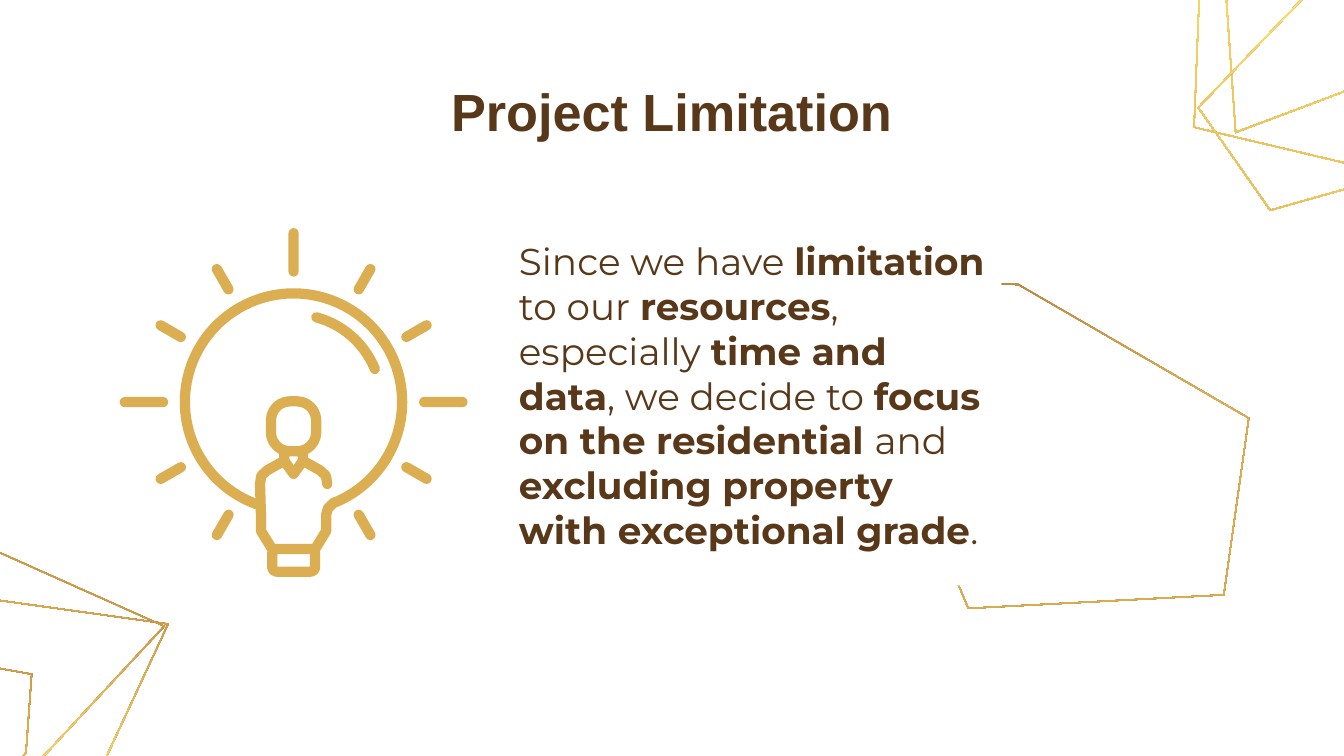
from copy import deepcopy
from math import cos, radians, sin

from lxml.etree import SubElement
from pptx import Presentation
from pptx.dml.color import RGBColor
from pptx.enum.shapes import MSO_SHAPE
from pptx.enum.text import MSO_ANCHOR, MSO_AUTO_SIZE, PP_ALIGN
from pptx.oxml.ns import qn
from pptx.util import Pt

COLORS = {"brown": "583819", "gold": "DCAE52", "bronze": "AF7132",
          "yellow": "FFDD6B", "white": "FFFFFF"}
BAND = 0.6          # thickness of the decorative outlines
ICON_SIZE = 187     # side of the square in which the bulb icon is designed
STROKE = 5.5

# Three base polygons: clockwise offsets from the first corner, before turning
QUAD = [(0, 0), (-85.9, -153.7), (122.4, -218.4), (122.8, -126.2)]
PENTAGON = [(0, 0), (-57.9, -35), (7.2, -214), (121, -216.2), (70.9, -58.8)]
HEXAGON = [(0, 0), (-33.6, -85.1), (65, -179), (134, -197.6), (150, -155.9),
           (128.8, -23.8)]

BODY = [("Since we have ", False), ("limitation", True), (" to our ", False),
        ("resources", True), (", especially ", False), ("time and data", True),
        (", we decide to ", False), ("focus on the residential ", True),
        ("and ", False), ("excluding property with exceptional grade", True),
        (".", False)]


def rgb(name):
    return RGBColor.from_string(COLORS[name])


def polar(radius, angle):
    """Offset at an angle in degrees, clockwise from three o'clock."""
    return radius * complex(cos(radians(angle)), sin(radians(angle)))


def add_outline(slide, contours, close=True):
    """Build one freeform from contours of complex points."""
    scaled = [[(Pt(z.real), Pt(z.imag)) for z in c] for c in contours]
    builder = slide.shapes.build_freeform(*scaled[0][0])
    for i, corners in enumerate(scaled):
        if i:
            builder.move_to(*corners[0])
        builder.add_line_segments(corners[1:], close=close)
    sp = builder.convert_to_shape()
    sp.shadow.inherit = False
    return sp


def inset(corners):
    """Move each side of a clockwise polygon inwards by the band width."""
    result = []
    for i, z in enumerate(corners):
        before, after = z - corners[i - 1], corners[(i + 1) % len(corners)] - z
        a, b = (d / abs(d) * 1j for d in (before, after))
        result.append(z + BAND * (a + b) / (1 + (a * b.conjugate()).real))
    return result


def fill_gradient(sp, colors):
    """Fill from top to bottom with three evenly spaced colours."""
    sp.fill.gradient()
    sp.fill.gradient_angle = 270
    stops = sp._element.spPr.find(".//" + qn("a:gsLst"))
    stops.insert(1, deepcopy(stops[0]))
    for i, (stop, color) in enumerate(zip(sp.fill.gradient_stops, colors)):
        stop.position = i / 2
        stop.color.rgb = rgb(color)


def add_polygon(slide, base, first_corner, turn, scale=1.0, mirror=False,
                middle="yellow"):
    """Place a base polygon as a thin gradient band."""
    flip = -1 if mirror else 1
    corners = [scale * complex(flip * x, y) for x, y in base][::flip]
    xs, ys = [z.real for z in corners], [z.imag for z in corners]
    center = complex(min(xs) + max(xs), min(ys) + max(ys)) / 2
    # The shape turns about its centre, so find where that centre must lie.
    shift = complex(*first_corner) + center * polar(1, turn) - center
    corners = [z + shift for z in corners]
    sp = add_outline(slide, [corners, inset(corners)])
    sp.rotation = turn
    sp.line.fill.background()
    fill_gradient(sp, ("bronze", middle, "gold"))


def add_corner_cluster(slide, scale, quad_turn, turn, anchors):
    """Overlap the three base polygons in one corner of the slide."""
    turns = (quad_turn, turn, turn)
    for base, angle, anchor in zip((QUAD, HEXAGON, PENTAGON), turns, anchors):
        add_polygon(slide, base, anchor, angle, scale)


def style_stroke(sp, scale):
    """Draw a shape as a gold line with round ends and joins."""
    sp.shadow.inherit = False
    sp.fill.background()
    sp.line.color.rgb = rgb("gold")
    sp.line.width = Pt(STROKE * scale)
    ln = sp._element.spPr.find(qn("a:ln"))
    ln.set("cap", "rnd")
    SubElement(ln, qn("a:round"))


def add_bulb_icon(slide, left, top, size):
    """Draw the shining bulb with a person; offsets count from its centre."""
    scale = size / ICON_SIZE
    center = complex(left + size / 2, top + size / 2)

    def preset(kind, middle, width, height):
        z = center + scale * middle
        w, h = scale * width, scale * height
        return slide.shapes.add_shape(kind, Pt(z.real - w / 2), Pt(z.imag - h / 2),
                                      Pt(w), Pt(h))

    def arc(radius, start, end):
        sp = preset(MSO_SHAPE.ARC, 0, 2 * radius, 2 * radius)
        for i, angle in enumerate((start, end)):
            sp.adjustments[i] = angle * 0.6  # 60000ths of a degree, over 100000
        style_stroke(sp, scale)

    def rounded_frame(middle, width, height, rounding):
        sp = preset(MSO_SHAPE.ROUNDED_RECTANGLE, middle, width, height)
        sp.adjustments[0] = rounding
        style_stroke(sp, scale)

    def stroke(points, side=1):
        line = [center + scale * complex(side * x, y) for x, y in points]
        style_stroke(add_outline(slide, [line], close=False), scale)

    def ray(angle):
        length, radius = (26, 80.2) if angle % 90 == 0 else (18, 76)
        sp = preset(MSO_SHAPE.ROUNDED_RECTANGLE, polar(radius, angle),
                    length, STROKE)
        sp.adjustments[0] = 0.5
        sp.rotation = angle
        sp.fill.solid()
        sp.fill.fore_color.rgb = rgb("gold")
        sp.line.fill.background()
        sp.shadow.inherit = False

    for angle in range(0, 360, 30):
        if angle != 90:  # the person stands in place of the lowest ray
            ray(angle)

    arc(58.2, 110, 69)   # glass, open at the bottom
    arc(47, 285, 338)    # glare

    neck_collar_shoulder = [(5, 28), (5, 31.5), (14, 36.5), (17.3, 39.5),
                            (18, 44)]
    waist = [(17.5, 60), (17.5, 69), (12, 78)]
    rounded_frame(0 + 13j, 24.2, 26.8, 0.42)       # head
    stroke([(-5, 31.5), (0, 38.5), (5, 31.5)])     # collar
    stroke(neck_collar_shoulder)
    stroke([(20.5, 55), (18.5, 56.8)] + waist)     # glass runs into the waist
    stroke(neck_collar_shoulder + waist, side=-1)
    rounded_frame(0 + 84.8j, 23, 12.2, 0.2)        # base


def fill_placeholder(ph, box, runs, font, size, align):
    """Place a placeholder above the drawings and set its formatted runs."""
    ph.left, ph.top, ph.width, ph.height = (Pt(v) for v in box)
    ph._element.getparent().append(ph._element)
    tf = ph.text_frame
    tf.word_wrap = True
    tf.auto_size = MSO_AUTO_SIZE.NONE
    tf.vertical_anchor = MSO_ANCHOR.MIDDLE
    tf.margin_left = tf.margin_right = tf.margin_top = tf.margin_bottom = Pt(7.2)
    p = tf.paragraphs[0]
    p.alignment = align
    p.space_before = Pt(0)
    p.line_spacing = 1.0
    for text, bold in runs:
        r = p.add_run()
        r.text = text
        r.font.name, r.font.size, r.font.bold = font, Pt(size), bold
        r.font.color.rgb = rgb("brown")


def add_body(ph, box):
    fill_placeholder(ph, box, BODY, "Montserrat", 20, PP_ALIGN.LEFT)
    pPr = ph.text_frame.paragraphs[0]._p.get_or_add_pPr()
    pPr.set("marL", str(Pt(10.8)))
    pPr.set("indent", "0")
    ph.fill.solid()
    ph.fill.fore_color.rgb = rgb("white")


def main():
    prs = Presentation()
    prs.slide_width, prs.slide_height = Pt(720), Pt(405)
    slide = prs.slides.add_slide(prs.slide_layouts[0])

    add_corner_cluster(slide, 1, 25.2, 23.8,
                       [(661.7, 71.3), (639.4, 68.4), (680.4, 113)])
    add_corner_cluster(slide, 0.95, 25.2, 25.2,
                       [(-103, 472.3), (-177.8, 476.6), (-103, 472.3)])
    add_polygon(slide, HEXAGON, (655.9, 319), 346.5, 1.05, mirror=True,
                middle="gold")

    add_body(slide.placeholders[1], (260, 109.8, 276.5, 203.8))
    fill_placeholder(slide.shapes.title, (157, 42.5, 405.4, 33.8),
                     [("Project Limitation", True)], "Arial", 28, PP_ALIGN.CENTER)
    add_bulb_icon(slide, 63.8, 121.9, ICON_SIZE)
    prs.save("out.pptx")


if __name__ == "__main__":
    main()
